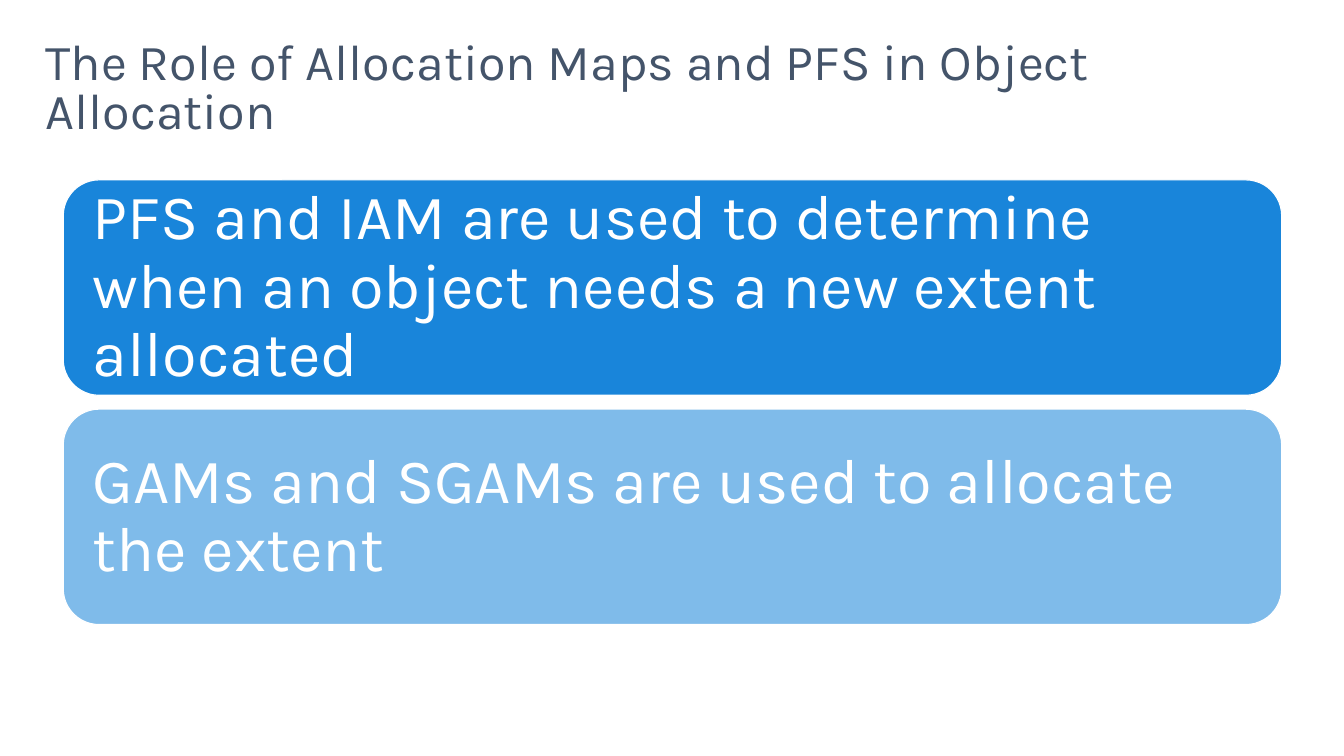
from lxml.etree import SubElement
from pptx import Presentation
from pptx.dml.color import RGBColor
from pptx.enum.shapes import MSO_SHAPE
from pptx.enum.text import MSO_ANCHOR, MSO_AUTO_SIZE, PP_ALIGN
from pptx.oxml.ns import qn
from pptx.util import Inches, Pt

COLORS = {"title": "44546A", "card": "0078D7", "white": "FFFFFF"}
FONT = "Karla"
CARD_LEFT, CARD_TOP, CARD_WIDTH, CARD_HEIGHT = 0.64, 1.82, 12.33, 2.18
CARD_STEP = 2.32
CARDS = [
    ("PFS and IAM are used to determine when an object needs a new extent allocated", 90),
    ("GAMs and SGAMs are used to allocate the extent", 50),
]


def rgb(name):
    return RGBColor.from_string(COLORS[name])


def set_text(frame, text, size, color, spacing, anchor, inset_x, inset_y):
    frame.word_wrap = True
    frame.auto_size = MSO_AUTO_SIZE.NONE
    frame.vertical_anchor = anchor
    frame.margin_left = frame.margin_right = Inches(inset_x)
    frame.margin_top = frame.margin_bottom = Inches(inset_y)
    paragraph = frame.paragraphs[0]
    paragraph.alignment = PP_ALIGN.LEFT
    paragraph.line_spacing = spacing
    run = paragraph.add_run()
    run.text = text
    run.font.name = FONT
    run.font.size = Pt(size)
    run.font.color.rgb = rgb(color)


def add_title(slide, text):
    title = slide.shapes.title
    title.left, title.top = Inches(0.3), Inches(0.32)
    title.width, title.height = Inches(13), Inches(1)
    set_text(title.text_frame, text, 36.7, "title", Pt(35.7), MSO_ANCHOR.TOP, 0.16, 0.1)


def add_card(slide, top, text, opacity):
    card = slide.shapes.add_shape(
        MSO_SHAPE.ROUNDED_RECTANGLE,
        Inches(CARD_LEFT), Inches(top), Inches(CARD_WIDTH), Inches(CARD_HEIGHT),
    )
    card.shadow.inherit = False
    card.fill.solid()
    card.fill.fore_color.rgb = rgb("card")
    fill_color = card.fill._xPr.find(qn("a:solidFill")).find(qn("a:srgbClr"))
    SubElement(fill_color, qn("a:alpha"), val=str(opacity * 1000))
    card.line.color.rgb = rgb("white")
    card.line.width = Pt(0.85)
    set_text(card.text_frame, text, 46, "white", 0.9, MSO_ANCHOR.MIDDLE, 0.19, 0)


def main():
    deck = Presentation()
    deck.slide_width, deck.slide_height = Inches(13.6), Inches(7.65)
    slide = deck.slides.add_slide(deck.slide_layouts[5])
    add_title(slide, "The Role of Allocation Maps and PFS in Object Allocation")
    for index, (text, opacity) in enumerate(CARDS):
        add_card(slide, CARD_TOP + index * CARD_STEP, text, opacity)
    deck.save("out.pptx")


if __name__ == "__main__":
    main()
